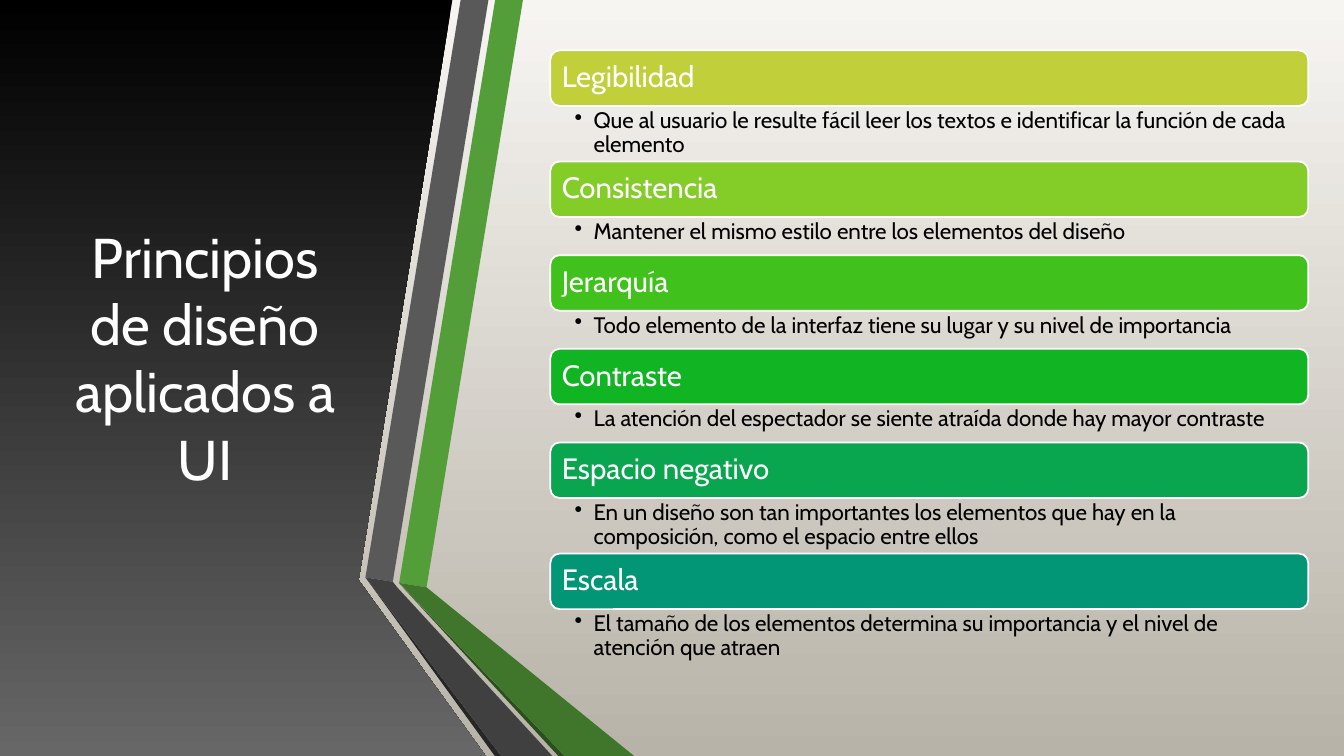
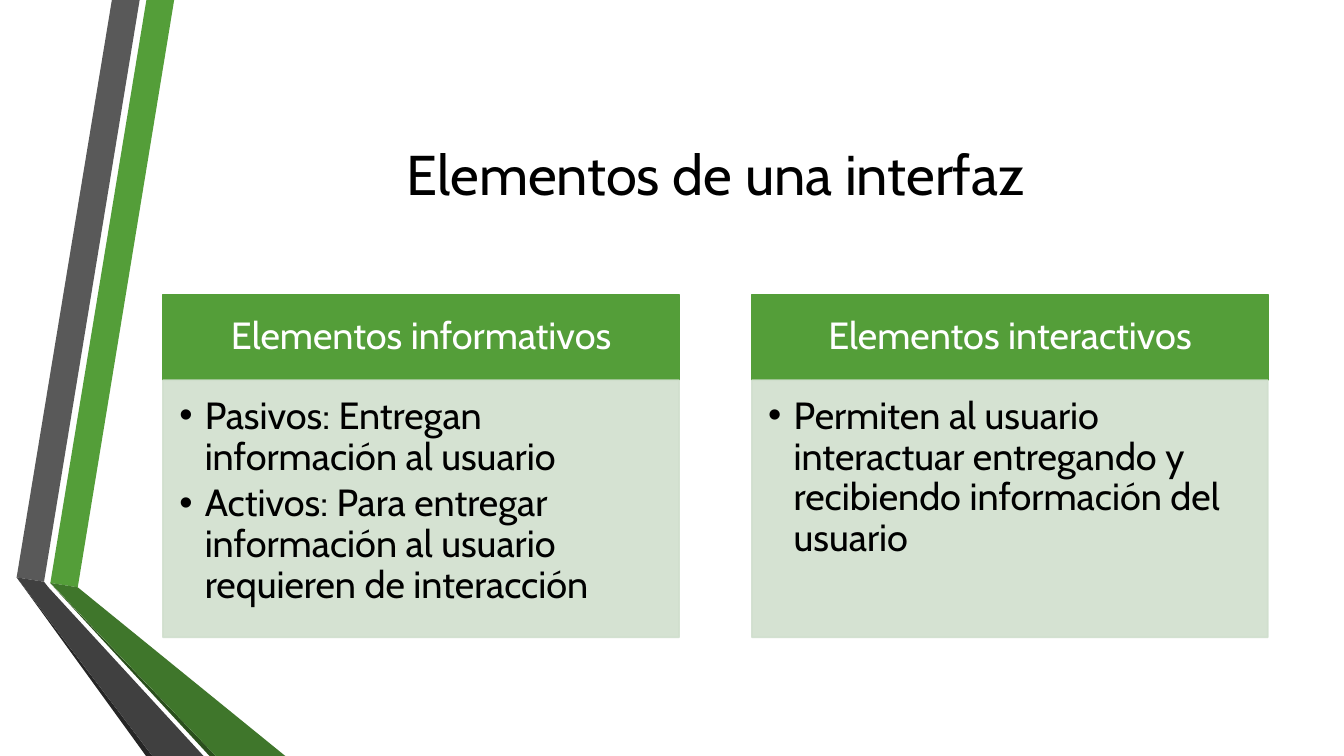
import dataclasses

import lxml.etree
import pptx
import pptx.dml.color
import pptx.enum.shapes
import pptx.enum.text
import pptx.oxml.ns
import pptx.util

Cm = pptx.util.Cm
Pt = pptx.util.Pt
ANCHOR = pptx.enum.text.MSO_ANCHOR
ALIGN = pptx.enum.text.PP_ALIGN
PRESET = pptx.enum.shapes.MSO_SHAPE


@dataclasses.dataclass(frozen=True)
class Theme:
    font: str = "Cabin"
    title_size: float = 40
    column_size: float = 27
    principle_size: float = 21
    detail_size: float = 16
    outline: float = 1.25
    white: str = "FFFFFF"
    black: str = "000000"
    green: str = "549E39"
    pale_green: str = "D1DFCE"
    backdrop: tuple = ("F7F5F2", "B8B3A8")
    panel: tuple = ("000000", "676767")
    principles: tuple = ("C0CF3A", "84CC27", "40C11B", "11B423", "09A64F", "029676")


@dataclasses.dataclass(frozen=True)
class Box:
    left: float
    top: float
    width: float
    height: float

    def lengths(self):
        return [Cm(side) for side in dataclasses.astuple(self)]


THEME = Theme()
SLIDE = Box(0, 0, 33.87, 19.05)
RIBBON = [
    (THEME.green, [(1.27, 14.69), (1.96, 14.8), (4.39, 0), (3.69, 0)]),
    ("595959", [(3.52, 0), (2.82, 0), (0.42, 14.55), (1.11, 14.66)]),
    ("262626", [(0.42, 14.55), (3.68, 19.05), (3.84, 19.05)]),
    ("2A4F1C", [(1.27, 14.7), (5.28, 19.05), (5.44, 19.05)]),
    ("3F762B", [(1.27, 14.69), (5.44, 19.05), (7.19, 19.05), (1.96, 14.8)]),
    ("404040", [(5.13, 19.05), (1.22, 14.8), (1.11, 14.66), (0.42, 14.55), (3.84, 19.05)]),
]
PANEL = [(0, 0), (11.4, 0), (9.04, 14.62), (12.24, 19.05), (0, 19.05)]

PRINCIPLES = [
    ("Legibilidad", "Que al usuario le resulte fácil leer los textos e identificar la función de cada elemento", 2),
    ("Consistencia", "Mantener el mismo estilo entre los elementos del diseño", 1),
    ("Jerarquía", "Todo elemento de la interfaz tiene su lugar y su nivel de importancia", 1),
    ("Contraste", "La atención del espectador se siente atraída donde hay mayor contraste", 1),
    ("Espacio negativo", "En un diseño son tan importantes los elementos que hay en la composición, como el espacio entre ellos", 2),
    ("Escala", "El tamaño de los elementos determina su importancia y el nivel de atención que atraen", 2),
]
COLUMNS = [
    ("Elementos informativos", [
        "Pasivos: Entregan información al usuario",
        "Activos: Para entregar información al usuario requieren de interacción",
    ]),
    ("Elementos interactivos", [
        "Permiten al usuario interactuar entregando y recibiendo información del usuario",
    ]),
]


def rgb(code):
    return pptx.dml.color.RGBColor.from_string(code)


def fill_solid(fill, color, opacity=100):
    fill.solid()
    fill.fore_color.rgb = rgb(color)


def fill_downward(fill, colors):
    fill.gradient()
    fill.gradient_angle = 270
    for stop, color in zip(fill.gradient_stops, colors):
        stop.color.rgb = rgb(color)


def paint(shape, color, outline=None, opacity=100):
    shape.shadow.inherit = False
    fill_solid(shape.fill, color)
    if outline:
        fill_solid(shape.line.fill, outline)
        shape.line.width = Pt(THEME.outline)
    else:
        shape.line.fill.background()
    if opacity < 100:
        for tint in shape.element.spPr.iter(pptx.oxml.ns.qn("a:srgbClr")):
            alpha = lxml.etree.SubElement(tint, pptx.oxml.ns.qn("a:alpha"))
            alpha.set("val", str(opacity * 1000))


def write(shape, lines, *, size, color, align=ALIGN.LEFT, anchor=ANCHOR.TOP,
          insets=(0.25, 0.13, 0.25, 0.13), spacing=0.9, after=0, bullet_indent=0):
    frame = shape.text_frame
    frame.text = "\n".join(lines)
    frame.word_wrap = True
    frame.auto_size = pptx.enum.text.MSO_AUTO_SIZE.NONE
    frame.vertical_anchor = anchor
    (frame.margin_left, frame.margin_top,
     frame.margin_right, frame.margin_bottom) = [Cm(inset) for inset in insets]
    for paragraph in frame.paragraphs:
        paragraph.alignment = align
        paragraph.line_spacing = spacing
        paragraph.space_before = Pt(0)
        paragraph.space_after = Pt(after)
        properties = paragraph._p.get_or_add_pPr()
        properties.set("marL", str(Cm(bullet_indent)))
        properties.set("indent", str(-Cm(bullet_indent)))
        if bullet_indent:
            bullet = lxml.etree.SubElement(properties, pptx.oxml.ns.qn("a:buChar"))
            bullet.set("char", "•")
        for run in paragraph.runs:
            run.font.name = THEME.font
            run.font.size = Pt(size)
            run.font.bold = False
            run.font.color.rgb = rgb(color)


def place(shape, box):
    shape.left, shape.top, shape.width, shape.height = box.lengths()


def add_outline(slide, points, offset=0):
    corners = [(Cm(x + offset), Cm(y)) for x, y in points]
    builder = slide.shapes.build_freeform(*corners[0])
    builder.add_line_segments(corners[1:], close=True)
    return builder.convert_to_shape()


def add_ribbon(slide, offset=0):
    for color, points in RIBBON:
        paint(add_outline(slide, points, offset), color)


def add_title(slide, text, box, color):
    title = slide.shapes.title
    slide.shapes.element.append(title.element)
    place(title, box)
    write(title, [text], size=THEME.title_size, color=color, align=ALIGN.CENTER,
          anchor=ANCHOR.MIDDLE, spacing=1)


def add_principles(slide, box):
    bar_height = 1.4
    detail_heights = {1: 0.96, 2: 1.4}
    top = box.top
    for (name, detail, line_count), color in zip(PRINCIPLES, THEME.principles):
        bar_box = Box(box.left, top, box.width, bar_height)
        bar = slide.shapes.add_shape(PRESET.ROUNDED_RECTANGLE, *bar_box.lengths())
        paint(bar, color, THEME.white)
        write(bar, [name], size=THEME.principle_size, color=THEME.white,
              anchor=ANCHOR.MIDDLE, insets=(0.22, 0.2, 0.22, 0.2))
        detail_box = Box(box.left, top + bar_height, box.width, detail_heights[line_count])
        explanation = slide.shapes.add_textbox(*detail_box.lengths())
        write(explanation, [detail], size=THEME.detail_size, color=THEME.black,
              insets=(0.61, 0.08, 0.41, 0.08), bullet_indent=0.48)
        top += bar_height + detail_heights[line_count]


def add_column(heading, body, content, box):
    heading_height = 2.16
    name, points = content
    place(heading, Box(box.left, box.top, box.width, heading_height))
    paint(heading, THEME.green, THEME.green)
    write(heading, [name], size=THEME.column_size, color=THEME.white, align=ALIGN.CENTER,
          anchor=ANCHOR.MIDDLE, insets=(0.53, 0.3, 0.53, 0.3))
    place(body, Box(box.left, box.top + heading_height, box.width, box.height - heading_height))
    paint(body, THEME.pale_green, THEME.pale_green, opacity=90)
    write(body, points, size=THEME.column_size, color=THEME.black,
          insets=(0.41, 0.41, 0.53, 0.61), after=4, bullet_indent=0.64)


def add_columns(slide, box):
    gap = 1.84
    width = (box.width - gap * (len(COLUMNS) - 1)) / len(COLUMNS)
    parts = [part for part in slide.placeholders if part.placeholder_format.idx > 0]
    for index, content in enumerate(COLUMNS):
        heading, body = parts[2 * index:2 * index + 2]
        add_column(heading, body, content,
                   Box(box.left + index * (width + gap), box.top, width, box.height))


def build_principles_slide(deck):
    slide = deck.slides.add_slide(deck.slide_layouts.get_by_name("Title Only"))
    fill_downward(slide.background.fill, THEME.backdrop)
    panel = add_outline(slide, PANEL)
    paint(panel, THEME.black)
    fill_downward(panel.fill, THEME.panel)
    add_ribbon(slide, offset=8.79)
    add_title(slide, "Principios de diseño aplicados a UI", Box(1.5, 1.91, 7.34, 14.17), THEME.white)
    add_principles(slide, Box(13.87, 1.27, 19.1, 15.47))


def build_elements_slide(deck):
    slide = deck.slides.add_slide(deck.slide_layouts.get_by_name("Comparison"))
    fill_solid(slide.background.fill, THEME.white)
    add_ribbon(slide)
    add_title(slide, "Elementos de una interfaz", Box(4.11, 1.91, 27.84, 4.88), THEME.black)
    add_columns(slide, Box(4.11, 7.42, 27.84, 8.64))


def main():
    deck = pptx.Presentation()
    deck.slide_width, deck.slide_height = SLIDE.lengths()[2:]
    build_principles_slide(deck)
    build_elements_slide(deck)
    deck.save("out.pptx")


if __name__ == "__main__":
    main()
